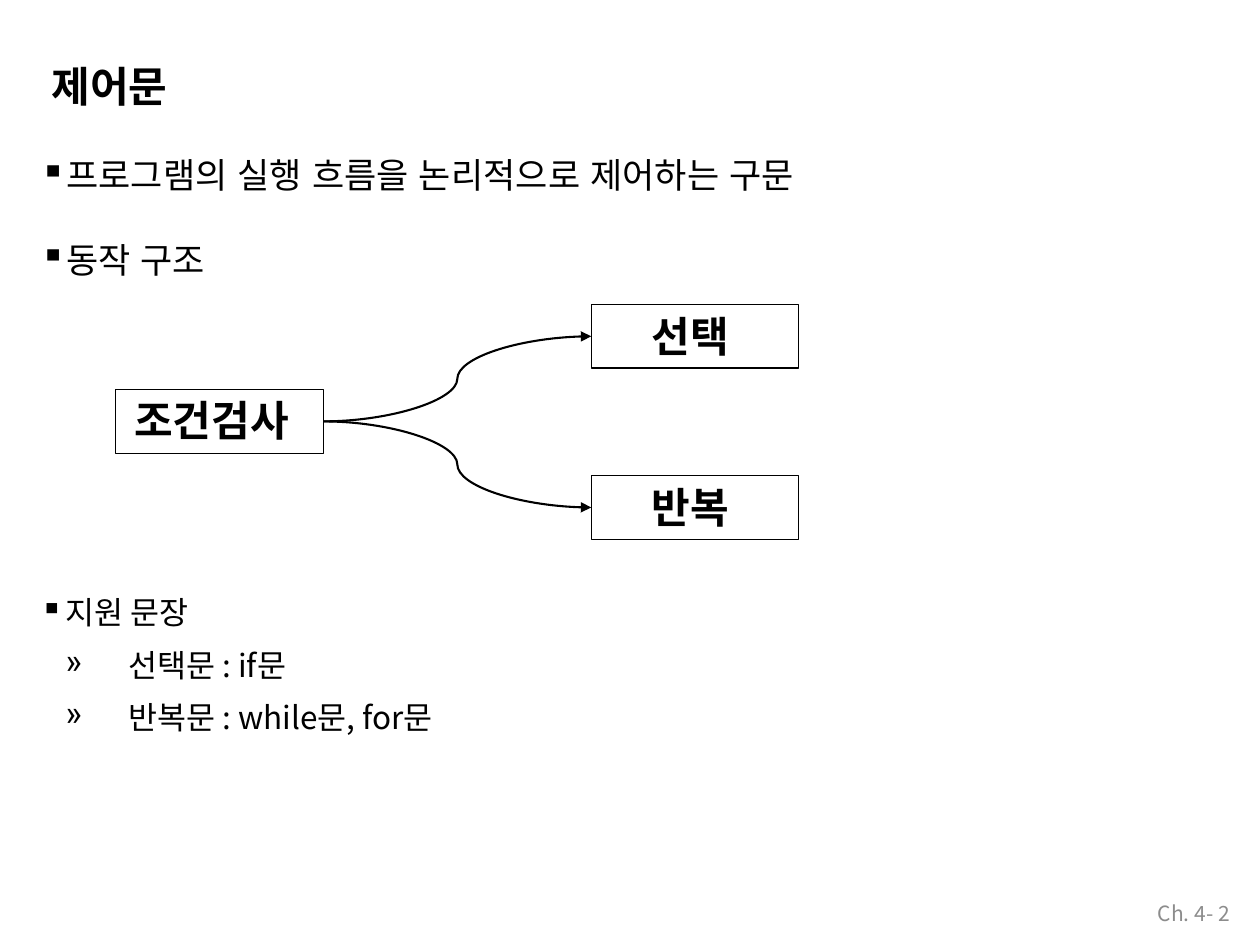
from dataclasses import dataclass

import pptx
import pptx.dml.color
import pptx.enum.shapes
import pptx.enum.text
import pptx.oxml
import pptx.oxml.ns
import pptx.util

Cm = pptx.util.Cm
Pt = pptx.util.Pt
Align = pptx.enum.text.PP_ALIGN
Anchor = pptx.enum.text.MSO_ANCHOR


@dataclass(frozen=True)
class Theme:
    ink: str = "000000"
    gray: str = "8C8C8C"
    font: str = "Noto Sans CJK KR"
    lead: str = "Arial"
    head: int = 24
    body: int = 20
    sub: int = 18
    foot: int = 12
    rule: float = 0.6
    curve: float = 1.2


@dataclass(frozen=True)
class Area:
    left: float
    top: float
    width: float
    height: float

    def cm(self) -> list:
        return [Cm(v) for v in (self.left, self.top, self.width, self.height)]


@dataclass(frozen=True)
class Line:
    runs: tuple
    mark: str = "▪"
    left: float = 0.53
    hang: float = 0.51
    gap: float = 0


@dataclass(frozen=True)
class Block:
    area: Area
    inset: float
    size: int
    font: str
    lines: tuple


@dataclass(frozen=True)
class Node:
    text: str
    area: Area
    inset: float


LOOK = Theme()

BLOCKS = (
    Block(Area(0.79, 3.07, 23.77, 2.64), 0.03, LOOK.body, LOOK.lead, (
        Line(("프로그램의 실행 흐름을 논리적으로 제어하는 구문",)),
        Line(("동작 ", "구조"), gap=24.5),
    )),
    Block(Area(0.79, 11.63, 23.77, 3.25), 0.33, LOOK.sub, LOOK.font, (
        Line(("지원 ", "문장")),
        Line(("선택문 : ", "if문"), "»", 1.8, 1.27, 8.4),
        Line(("반복문 ", ": ", "while문, for문"), "»", 1.8, 1.27, 8.4),
    )),
)

ROOT = Node("조건검사", Area(2.33, 7.85, 4.19, 1.29), 0.38)
LEAVES = tuple(
    Node(text, Area(11.92, top, 4.17, 1.28), 1.22)
    for text, top in (("선택", 6.14), ("반복", 9.59))
)


def tint(code: str) -> pptx.dml.color.RGBColor:
    return pptx.dml.color.RGBColor.from_string(code)


def write(para, text: str, size: int, bold: bool = False,
          hue: str = LOOK.ink, face: str = LOOK.font) -> None:
    run = para.add_run()
    run.text = text
    font = run.font
    font.name, font.size, font.bold = face, Pt(size), bold
    font.color.rgb = tint(hue)
    east = pptx.oxml.parse_xml(
        f'<a:ea {pptx.oxml.ns.nsdecls("a")} typeface="{face}"/>')
    run._r.rPr.find(pptx.oxml.ns.qn("a:latin")).addnext(east)


def frame(shape, left: float = 0, top: float = 0):
    text = shape.text_frame
    text.word_wrap = True
    text.margin_left, text.margin_top = Cm(left), Cm(top)
    text.margin_right = text.margin_bottom = 0
    text.vertical_anchor = Anchor.TOP
    return text


def bullet(para, line: Line) -> None:
    props = para._p.get_or_add_pPr()
    props.set("marL", str(Cm(line.left)))
    props.set("indent", str(-Cm(line.hang)))
    props.append(pptx.oxml.parse_xml(
        f'<a:buChar {pptx.oxml.ns.nsdecls("a")} char="{line.mark}"/>'))


def title(slide, text: str, area: Area) -> None:
    shape = slide.shapes.title
    shape.left, shape.top, shape.width, shape.height = area.cm()
    body = frame(shape, 0.25, 0.13)
    body.auto_size = pptx.enum.text.MSO_AUTO_SIZE.NONE
    para = body.paragraphs[0]
    para.alignment = Align.LEFT
    write(para, text, LOOK.head, True)


def listing(slide, block: Block) -> None:
    body = frame(slide.shapes.add_textbox(*block.area.cm()), top=block.inset)
    for rank, line in enumerate(block.lines):
        para = body.add_paragraph() if rank else body.paragraphs[0]
        para.space_before = Pt(line.gap)
        bullet(para, line)
        for text in line.runs:
            write(para, text, block.size, face=block.font)


def box(slide, node: Node):
    shape = slide.shapes.add_shape(
        pptx.enum.shapes.MSO_SHAPE.RECTANGLE, *node.area.cm())
    shape.shadow.inherit = False
    shape.fill.background()
    shape.line.color.rgb = tint(LOOK.ink)
    shape.line.width = Pt(LOOK.rule)
    para = frame(shape, node.inset, 0.11).paragraphs[0]
    para.alignment = Align.LEFT
    write(para, node.text, LOOK.head, True)
    return shape


def link(slide, start, end) -> None:
    wire = slide.shapes.add_connector(
        pptx.enum.shapes.MSO_CONNECTOR.CURVE, 0, 0, 0, 0)
    wire.begin_connect(start, 3)
    wire.end_connect(end, 1)
    wire.line.color.rgb = tint(LOOK.ink)
    wire.line.width = Pt(LOOK.curve)
    space = pptx.oxml.ns.nsdecls("a")
    wire.line._get_or_add_ln().append(pptx.oxml.parse_xml(
        f'<a:tailEnd {space} type="triangle" w="med" len="med"/>'))
    wire._element.spPr.append(pptx.oxml.parse_xml(f"<a:effectLst {space}/>"))


def footer(slide, text: str, area: Area) -> None:
    body = frame(slide.shapes.add_textbox(*area.cm()))
    body.vertical_anchor = Anchor.MIDDLE
    para = body.paragraphs[0]
    para.alignment = Align.RIGHT
    write(para, text, LOOK.foot, hue=LOOK.gray)


def main() -> None:
    deck = pptx.Presentation()
    deck.slide_width, deck.slide_height = Cm(25.4), Cm(19.05)
    slide = deck.slides.add_slide(deck.slide_layouts[5])
    title(slide, "제어문", Area(0.79, 1.09, 5.13, 1.27))
    for block in BLOCKS:
        listing(slide, block)
    root = box(slide, ROOT)
    for leaf in LEAVES:
        link(slide, root, box(slide, leaf))
    footer(slide, "Ch. 4- 2", Area(22.35, 18.16, 2.44, 0.51))
    deck.save("out.pptx")


if __name__ == "__main__":
    main()
